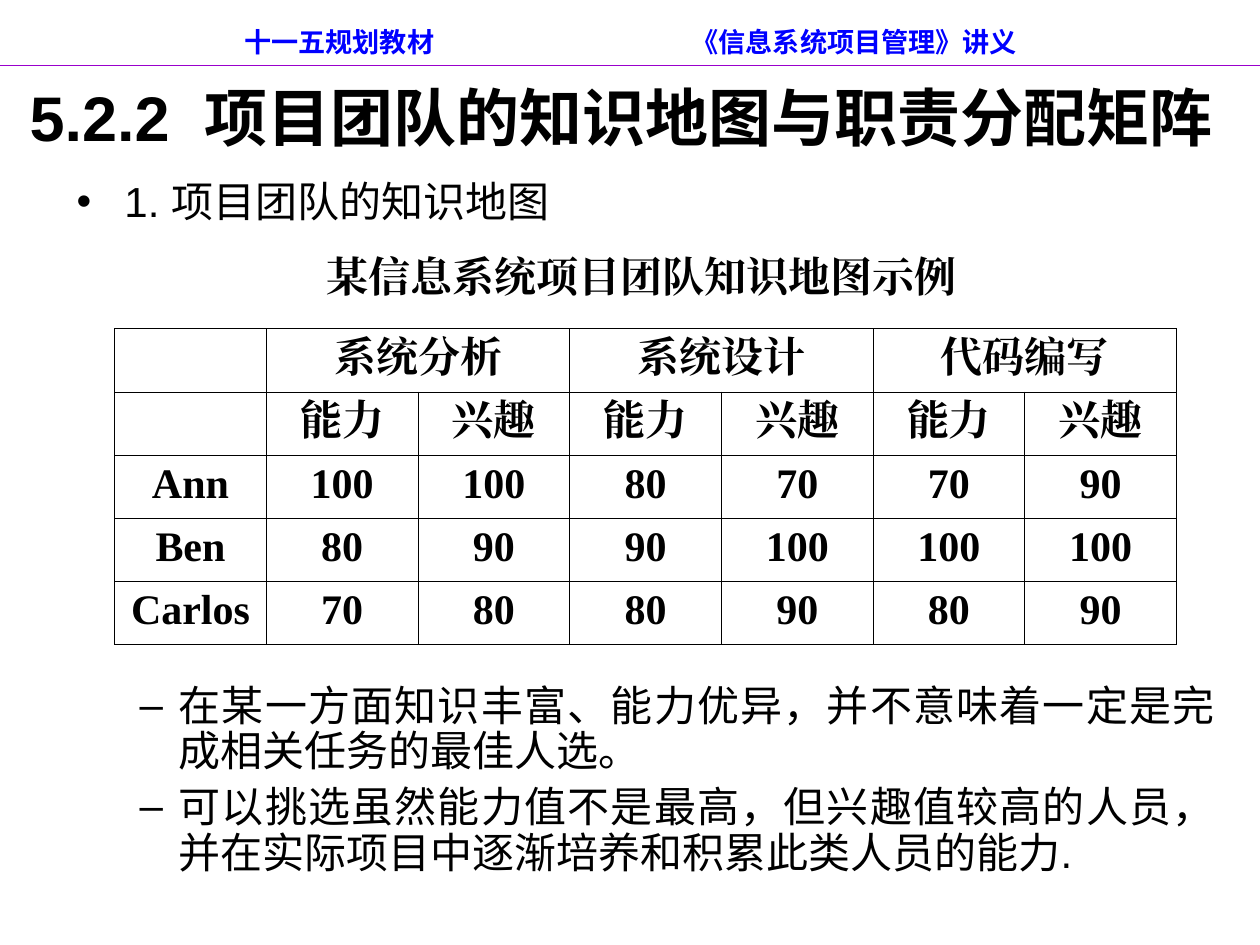
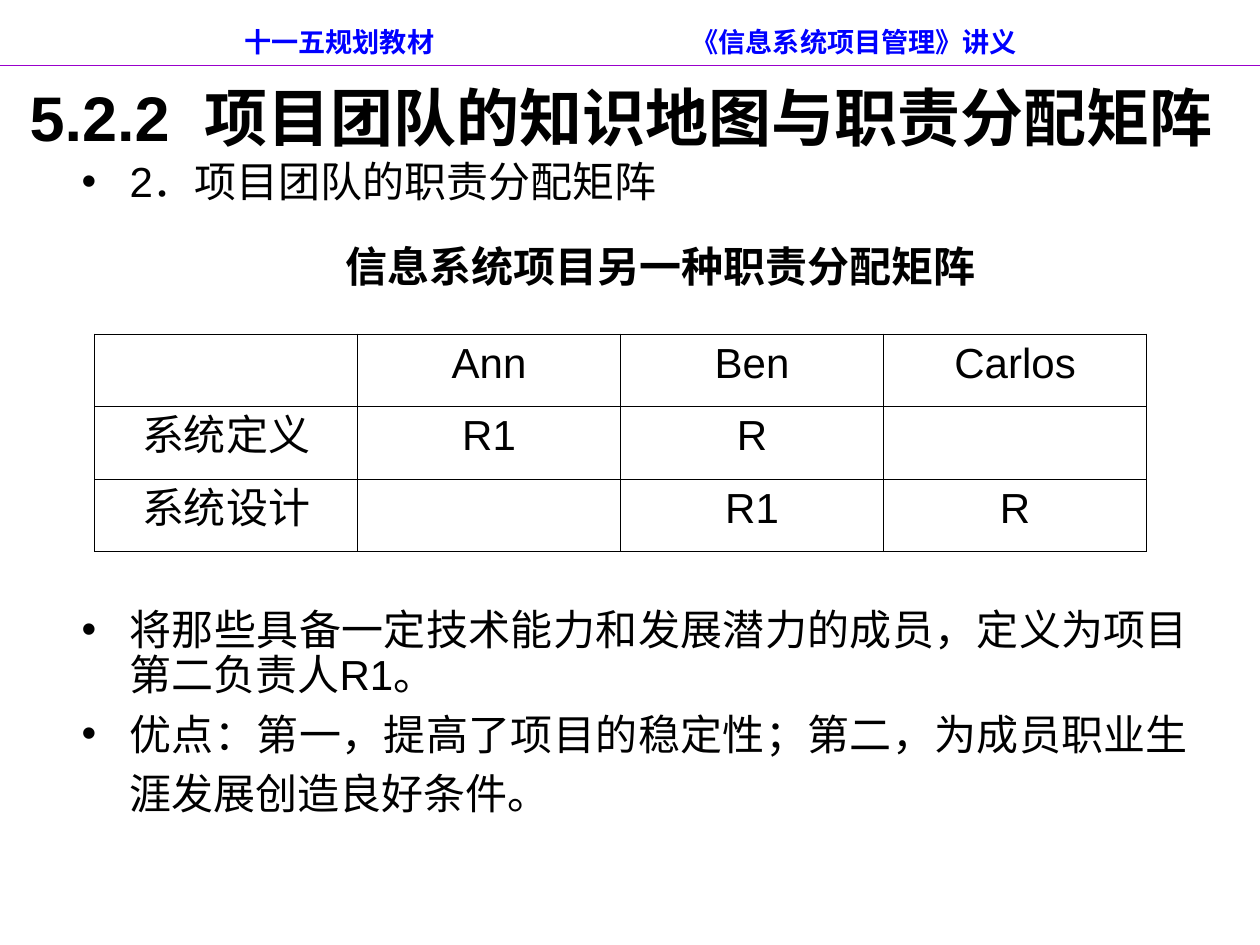
from dataclasses import dataclass

from lxml.etree import SubElement
from pptx import Presentation
from pptx.dml.color import RGBColor
from pptx.enum.shapes import MSO_CONNECTOR as Connector
from pptx.enum.text import MSO_ANCHOR as Anchor, PP_ALIGN as Align
from pptx.oxml.ns import qn
from pptx.util import Inches, Pt

COLORS = {"text": "000000", "header": "0000FF", "rule": "9900CC"}
SANS, SERIF = "Arial", "Times New Roman"
TITLE = "5.2.2  项目团队的知识地图与职责分配矩阵 "
HEADER = "十一五规划教材\t《信息系统项目管理》讲义"


@dataclass(frozen=True)
class Area:
    left: float
    top: float
    width: float
    height: float

    def lengths(self) -> list:
        return [Inches(n) for n in (self.left, self.top, self.width, self.height)]


@dataclass(frozen=True)
class Style:
    size: float
    face: str = SANS
    bold: bool = False
    color: str = "text"


@dataclass(frozen=True)
class Point:
    text: str
    before: float = 0
    spacing: float | Pt = 0.9
    bullet: str = "•"
    left: float = 0.38
    hang: float = 0.38


@dataclass(frozen=True)
class Grid:
    area: Area
    style: Style
    rows: list[list[str]]
    merged_pairs: tuple[int, ...] = ()


@dataclass(frozen=True)
class Lesson:
    body: Area
    points: list[Point]
    caption: str
    caption_area: Area
    caption_style: Style
    grid: Grid


def style_paragraph(para, style: Style, align=Align.CENTER) -> None:
    para.alignment = align
    font = para.font
    font.size, font.bold, font.name = Pt(style.size), style.bold, style.face
    font.color.rgb = RGBColor.from_string(COLORS[style.color])
    defaults = para._p.pPr.find(qn("a:defRPr"))
    SubElement(defaults, qn("a:ea"), typeface=style.face)


def add_box(page, area: Area, anchor=Anchor.MIDDLE, wrap: bool = True):
    frame = page.shapes.add_textbox(*area.lengths()).text_frame
    frame.word_wrap = wrap
    frame.vertical_anchor = anchor
    return frame


def add_line_of_text(page, area: Area, text: str, style: Style, wrap: bool = True) -> None:
    para = add_box(page, area, wrap=wrap).paragraphs[0]
    para.text = text
    style_paragraph(para, style)


def add_header(page) -> None:
    frame = add_box(page, Area(0.51, 0.14, 9, 0.38))
    frame.margin_left = Inches(1.43)
    para = frame.paragraphs[0]
    para.text = HEADER
    tabs = SubElement(para._p.get_or_add_pPr(), qn("a:tabLst"))
    SubElement(tabs, qn("a:tab"), pos=str(Inches(3.55)), algn="l")
    style_paragraph(para, Style(15.5, bold=True, color="header"), Align.LEFT)

    rule = page.shapes.add_connector(
        Connector.STRAIGHT, 0, Inches(0.52), Inches(10), Inches(0.52)
    )
    rule.line.color.rgb = RGBColor.from_string(COLORS["rule"])
    rule.line.width = Pt(0.75)
    SubElement(rule._element.spPr, qn("a:effectLst"))


def add_points(page, area: Area, points: list[Point]) -> None:
    frame = add_box(page, area, Anchor.TOP)
    for index, point in enumerate(points):
        para = frame.add_paragraph() if index else frame.paragraphs[0]
        para.text = point.text
        props = para._p.get_or_add_pPr()
        props.set("marL", str(Inches(point.left)))
        props.set("indent", str(-Inches(point.hang)))
        SubElement(props, qn("a:buFont"), typeface=SANS)
        SubElement(props, qn("a:buChar"), char=point.bullet)
        para.line_spacing = point.spacing
        if index:
            para.space_before = Pt(point.before)
        style_paragraph(para, Style(24), Align.JUSTIFY)


def draw_borders(cell) -> None:
    props = cell._tc.get_or_add_tcPr()
    for side in ("lnL", "lnR", "lnT", "lnB"):
        line = SubElement(props, qn(f"a:{side}"), w=str(Pt(0.45)))
        fill = SubElement(line, qn("a:solidFill"))
        SubElement(fill, qn("a:srgbClr"), val=COLORS["text"])


def add_grid(page, grid: Grid) -> None:
    row_count, column_count = len(grid.rows), len(grid.rows[0])
    table = page.shapes.add_table(row_count, column_count, *grid.area.lengths()).table
    table.first_row = table.horz_banding = False
    for column in table.columns:
        column.width = Inches(grid.area.width / column_count)
    for row in table.rows:
        row.height = Inches(grid.area.height / row_count)
    for row_index, texts in enumerate(grid.rows):
        for column_index, text in enumerate(texts):
            cell = table.cell(row_index, column_index)
            draw_borders(cell)
            cell.fill.background()
            if text:
                para = cell.text_frame.paragraphs[0]
                para.text = text
                style_paragraph(para, grid.style)
    for start in grid.merged_pairs:
        table.cell(0, start).merge(table.cell(0, start + 1))


def add_lesson(deck, lesson: Lesson) -> None:
    page = deck.slides.add_slide(deck.slide_layouts[6])
    add_line_of_text(page, Area(0, 0.3, 10, 1.25), TITLE, Style(36, bold=True))
    add_points(page, lesson.body, lesson.points)
    add_line_of_text(
        page, lesson.caption_area, lesson.caption, lesson.caption_style, wrap=False
    )
    add_grid(page, lesson.grid)
    add_header(page)


LESSONS = [
    Lesson(
        body=Area(0.51, 1.39, 9.23, 5.83),
        points=[
            Point("1. 项目团队的知识地图"),
            Point("在某一方面知识丰富、能力优异，并不意味着一定是完成相关任务的最佳人选。",
                  262, bullet="–", left=0.81, hang=0.31),
            Point("可以挑选虽然能力值不是最高，但兴趣值较高的人员，并在实际项目中逐渐培养和积累此类人员的能力.",
                  6, bullet="–", left=0.81, hang=0.31),
        ],
        caption="某信息系统项目团队知识地图示例",
        caption_area=Area(2.49, 1.94, 5.2, 0.5),
        caption_style=Style(24, SERIF, True),
        grid=Grid(
            Area(0.91, 2.61, 8.43, 2.5),
            Style(24, SERIF, True),
            [
                ["", "系统分析", "", "系统设计", "", "代码编写", ""],
                [""] + ["能力", "兴趣"] * 3,
                ["Ann", "100", "100", "80", "70", "70", "90"],
                ["Ben", "80", "90", "90", "100", "100", "100"],
                ["Carlos", "70", "80", "80", "90", "80", "90"],
            ],
            merged_pairs=(1, 3, 5),
        ),
    ),
    Lesson(
        body=Area(0.55, 1.23, 8.98, 6.46),
        points=[
            Point("2．项目团队的职责分配矩阵"),
            Point("将那些具备一定技术能力和发展潜力的成员，定义为项目第二负责人R1。", 230),
            Point("优点：第一，提高了项目的稳定性；第二，为成员职业生涯发展创造良好条件。",
                  spacing=Pt(33.7)),
        ],
        caption="信息系统项目另一种职责分配矩阵",
        caption_area=Area(2.6, 1.86, 5.29, 0.5),
        caption_style=Style(24, bold=True),
        grid=Grid(
            Area(0.75, 2.65, 8.35, 1.73),
            Style(24),
            [
                ["", "Ann", "Ben", "Carlos"],
                ["系统定义", "R1", "R", ""],
                ["系统设计", "", "R1", "R"],
            ],
        ),
    ),
]


def main() -> None:
    """Build the two lesson slides and save the deck."""
    deck = Presentation()
    deck.slide_width, deck.slide_height = Inches(10), Inches(7.5)
    for lesson in LESSONS:
        add_lesson(deck, lesson)
    deck.save("out.pptx")


if __name__ == "__main__":
    main()
